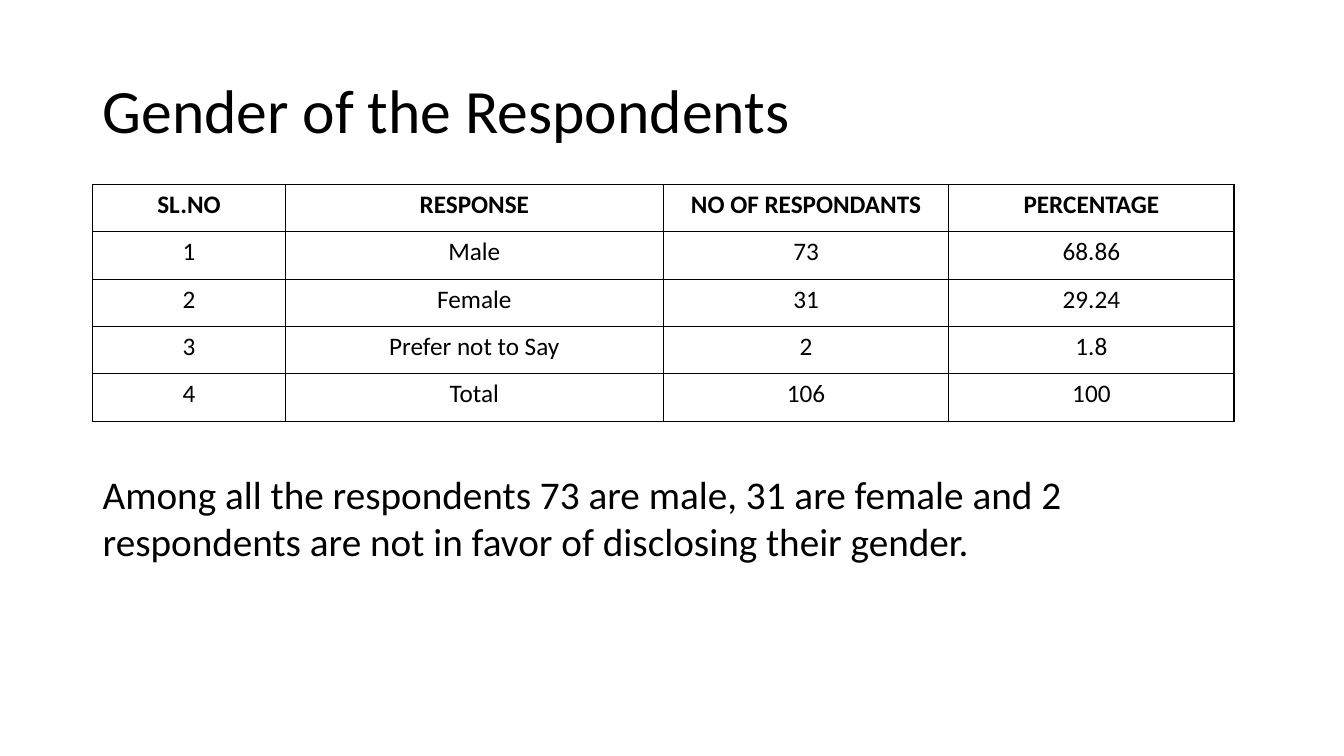
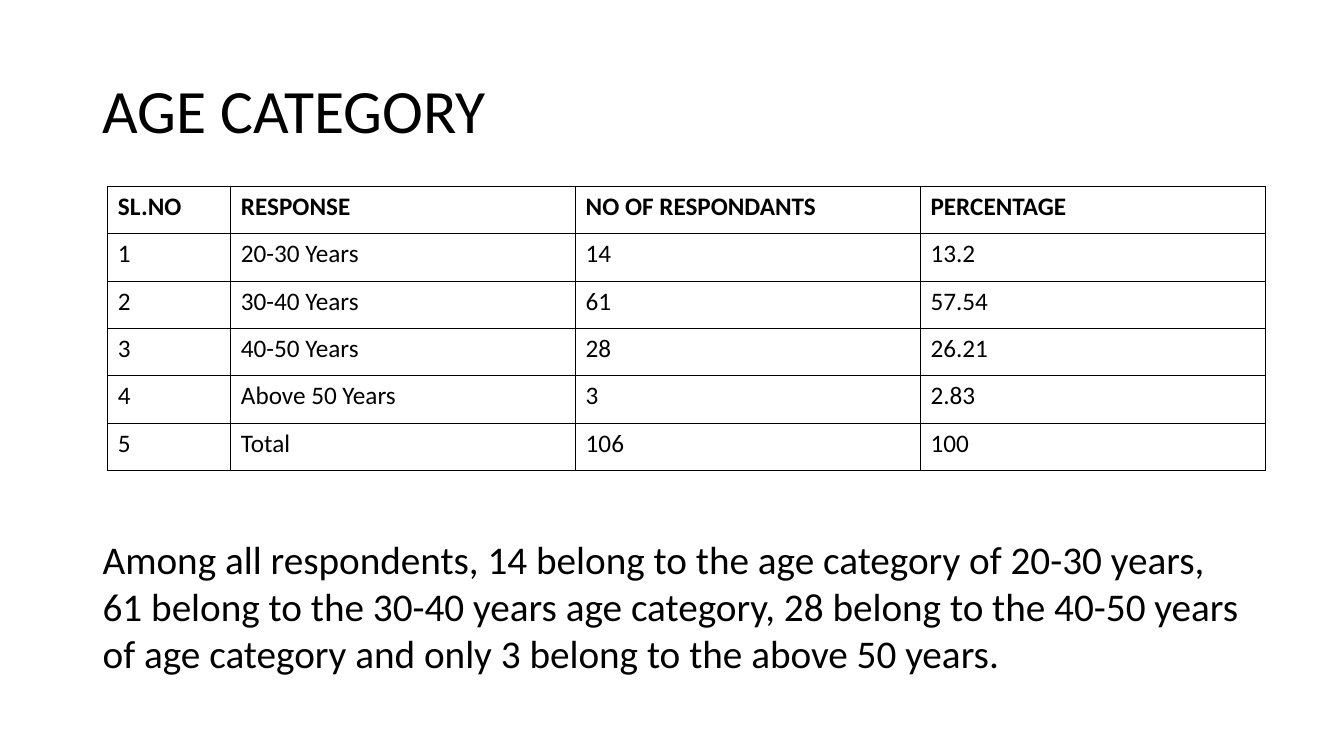
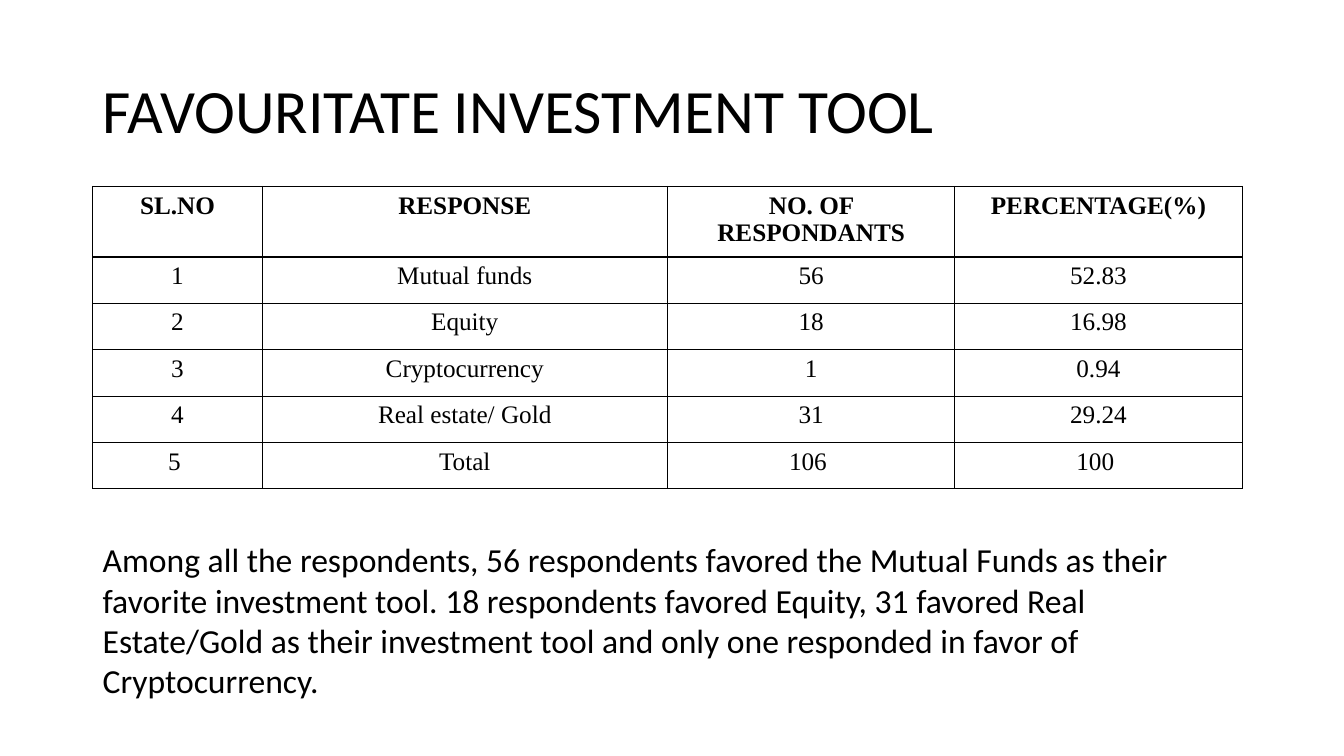
from lxml.etree import SubElement
from pptx import Presentation
from pptx.dml.color import RGBColor
from pptx.enum.text import MSO_ANCHOR, PP_ALIGN
from pptx.oxml.ns import qn
from pptx.util import Inches, Pt

BLACK = "000000"
BODY_FONT = "Calibri"
LEFT, CONTENT_WIDTH = 0.92, 11.5
TITLE_BOX = (LEFT, 0.4, CONTENT_WIDTH, 1.45)
CENTER, START = PP_ALIGN.CENTER, PP_ALIGN.LEFT

SLIDES = [
    {
        "title": "Gender of the Respondents",
        "rows": [
            ("SL.NO", "RESPONSE", "NO OF RESPONDANTS", "PERCENTAGE"),
            ("1", "Male", "73", "68.86"),
            ("2", "Female", "31", "29.24"),
            ("3", "Prefer not to Say", "2", "1.8"),
            ("4", "Total", "106", "100"),
        ],
        "position": (LEFT, 1.83),
        "columns": (1.91, 3.75, 2.83, 2.83),
        "header_height": 0.47,
        "row_height": 0.47,
        "font": BODY_FONT,
        "alignment": CENTER,
        "summary": "Among all the respondents 73 are male, 31 are female and 2 "
                   "respondents are not in favor of disclosing their gender.",
        "summary_box": (LEFT, 4.62, 10.79, 1.04),
        "summary_size": 28,
    },
    {
        "title": "AGE CATEGORY",
        "rows": [
            ("SL.NO", "RESPONSE", "NO OF RESPONDANTS", "PERCENTAGE"),
            ("1", "20-30 Years", "14", "13.2"),
            ("2", "30-40 Years", "61", "57.54"),
            ("3", "40-50 Years", "28", "26.21"),
            ("4", "Above 50 Years", "3", "2.83"),
            ("5", "Total", "106", "100"),
        ],
        "position": (1.07, 1.85),
        "columns": (1.22, 3.42, 3.42, 3.42),
        "header_height": 0.47,
        "row_height": 0.47,
        "font": BODY_FONT,
        "alignment": START,
        "summary": "Among all respondents, 14 belong to the age category of 20-30 years, "
                   "61 belong to the 30-40 years age category, 28 belong to the 40-50 years "
                   "of age category and only 3 belong to the above 50 years.",
        "summary_box": (LEFT, 5.26, CONTENT_WIDTH, 1.51),
        "summary_size": 28,
    },
    {
        "title": "FAVOURITATE INVESTMENT TOOL",
        "rows": [
            ("SL.NO", "RESPONSE", "NO. OF RESPONDANTS", "PERCENTAGE(%)"),
            ("1", "Mutual funds", "56", "52.83"),
            ("2", "Equity", "18", "16.98"),
            ("3", "Cryptocurrency", "1", "0.94"),
            ("4", "Real estate/ Gold", "31", "29.24"),
            ("5 ", "Total", "106 ", "100 "),
        ],
        "position": (LEFT, 1.85),
        "columns": (1.68, 4.02, 2.85, 2.85),
        "header_height": 0.62,
        "row_height": 0.46,
        "font": "Times New Roman",
        "alignment": CENTER,
        "summary": "Among all the respondents, 56 respondents favored the Mutual Funds as their "
                   "favorite investment tool. 18 respondents favored Equity, 31 favored Real "
                   "Estate/Gold as their investment tool and only one responded in favor of "
                   "Cryptocurrency.",
        "summary_box": (LEFT, 5.3, CONTENT_WIDTH, 1.72),
        "summary_size": 24,
    },
]


def color(value):
    return RGBColor.from_string(value)


def write(text_frame, text, size, font=BODY_FONT, bold=False, alignment=START):
    text_frame.text = text
    paragraph = text_frame.paragraphs[0]
    paragraph.alignment = alignment
    for run in paragraph.runs:
        run.font.size = Pt(size)
        run.font.name = font
        run.font.bold = bold
        run.font.color.rgb = color(BLACK)
    return paragraph


def add_text(slide, box, text, size, anchor=MSO_ANCHOR.TOP):
    text_frame = slide.shapes.add_textbox(*map(Inches, box)).text_frame
    text_frame.word_wrap = True
    text_frame.vertical_anchor = anchor
    return write(text_frame, text, size)


def add_borders(cell):
    properties = cell._tc.get_or_add_tcPr()
    for side in ("a:lnL", "a:lnR", "a:lnT", "a:lnB"):
        line = SubElement(properties, qn(side), w=str(Pt(1)))
        fill = SubElement(line, qn("a:solidFill"))
        SubElement(fill, qn("a:srgbClr"), val=BLACK)


def add_response_table(slide, content):
    rows, columns = content["rows"], content["columns"]
    heights = [content["header_height"]] + [content["row_height"]] * (len(rows) - 1)
    box = (*content["position"], sum(columns), sum(heights))
    table = slide.shapes.add_table(len(rows), len(columns), *map(Inches, box)).table
    table.first_row = table.horz_banding = False
    for column, width in zip(table.columns, columns):
        column.width = Inches(width)
    for row_index, (values, height) in enumerate(zip(rows, heights)):
        table.rows[row_index].height = Inches(height)
        for column_index, value in enumerate(values):
            cell = table.cell(row_index, column_index)
            add_borders(cell)
            cell.fill.background()
            write(cell.text_frame, value, 18, content["font"],
                  row_index == 0, content["alignment"])


def main():
    presentation = Presentation()
    presentation.slide_width = Inches(13.33)
    presentation.slide_height = Inches(7.5)
    for content in SLIDES:
        slide = presentation.slides.add_slide(presentation.slide_layouts[6])
        title = add_text(slide, TITLE_BOX, content["title"], 44, MSO_ANCHOR.MIDDLE)
        title.line_spacing = 0.9
        add_response_table(slide, content)
        add_text(slide, content["summary_box"], content["summary"], content["summary_size"])
    presentation.save("out.pptx")


if __name__ == "__main__":
    main()
